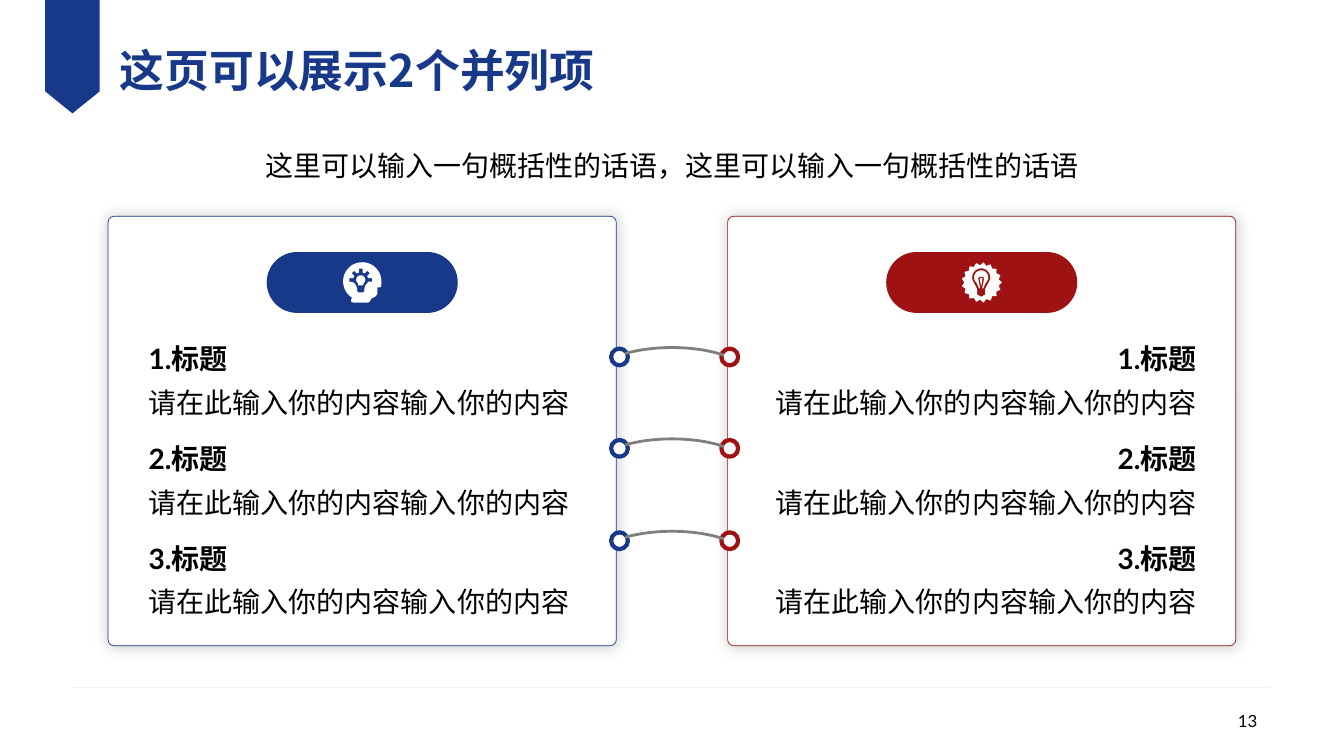
from math import cos, radians, sin

from lxml.etree import SubElement
from pptx import Presentation
from pptx.dml.color import RGBColor
from pptx.enum.shapes import MSO_CONNECTOR as Conn, MSO_SHAPE as Shape
from pptx.enum.text import MSO_ANCHOR as Anchor, PP_ALIGN as Align
from pptx.oxml.ns import qn
from pptx.util import Emu, Pt

PX = 9525
FINE = 914.4  # one thousandth of an inch, for the icons
BLUE, RED, WHITE, BLACK = "18388A", "9E1213", "FFFFFF", "000000"
GREY, PALE = "808080", "BFBFBF"
LATIN, HAN = "Lato", "Noto Sans CJK SC"


def px(n):
    return Emu(n * PX)


def rgb(hex_code):
    return RGBColor.from_string(hex_code)


def arc(cx, cy, r, start, end, n=40):
    """Points on a circle, angles in degrees clockwise from the right."""
    angles = [radians(start + (end - start) * i / n) for i in range(n + 1)]
    return [(cx + r * cos(a), cy + r * sin(a)) for a in angles]


def polar(cx, cy, pairs):
    return [(cx + r * cos(radians(a)), cy + r * sin(radians(a))) for r, a in pairs]


def shift(dx, dy, points):
    return [(x + dx, y + dy) for x, y in points]


def head_icon():
    """Head in profile with a shining bulb cut out of it."""
    head = arc(0, -10, 190, 122, 360) + [
        (190, 20), (185, 45), (170, 50), (150, 50), (150, 110), (138, 135),
        (90, 162), (75, 190), (60, 200), (-90, 200), (-110, 190), (-110, 170)]
    rays = [(r, a + d) for a in range(180, 361, 45)
            for r, d in ((75, -14), (113, -9), (113, 9), (75, 14))]
    lamp = polar(-15, -25, [(113, 171)] + rays[1:]) + shift(-15, -25, [
        (70, 25), (47, 55), (35, 85), (35, 110), (25, 125),
        (-25, 125), (-35, 110), (-35, 85), (-47, 55), (-70, 25)])
    glass = arc(-15, -25, 45, 125, 415) + shift(-15, -25, [(25, 55), (-25, 55)])
    return head, lamp, glass


def badge_icon():
    """Toothed badge with a bulb and its filament cut out of it."""
    teeth, bulb = 17, (-5, -50)
    badge = polar(0, 0, [(200 - 28 * (i % 2), 180 * i / teeth)
                         for i in range(2 * teeth)])
    lamp = arc(*bulb, 90, 140, 400) + shift(*bulb, [
        (40, 115), (40, 170), (22, 180), (0, 192), (-22, 180), (-40, 170), (-40, 115)])
    glass = arc(*bulb, 70, 130, 410) + shift(*bulb, [
        (20, 110), (10, 110), (30, 10), (18, -8), (0, -5),
        (-18, -8), (-30, 10), (-10, 110), (-20, 110)])
    filament = shift(*bulb, [(-15, 5), (0, 10), (15, 5), (0, 90)])
    return badge, lamp, glass, filament


class Deck:
    """Holds the current slide and the text style."""

    base = {"size": Pt(20), "name": LATIN, "bold": False}

    def __init__(self):
        self.prs = Presentation()
        self.prs.slide_width, self.prs.slide_height = px(1280), px(720)
        self.s = self.prs.slides.add_slide(self.prs.slide_layouts[6])

    def paint(self, sp, fill=None, line=None, width=1):
        sp.shadow.inherit = False
        if fill:
            sp.fill.solid()
            sp.fill.fore_color.rgb = rgb(fill)
        else:
            sp.fill.background()
        if line:
            sp.line.color.rgb = rgb(line)
            sp.line.width = Pt(width)
        else:
            sp.line.fill.background()
        return sp

    def shape(self, kind, x, y, w, h, adj=(), **look):
        sp = self.s.shapes.add_shape(kind, px(x), px(y), px(w), px(h))
        for i, value in enumerate(adj):
            sp.adjustments[i] = value
        return self.paint(sp, **look)

    def outline(self, contours, fill, x=0, y=0, scale=PX):
        """Closed contours around the point x, y; inner ones become holes."""
        first, *rest = contours
        fb = self.s.shapes.build_freeform(*first[0], scale=scale)
        fb.add_line_segments(first[1:], close=True)
        for points in rest:
            fb.move_to(*points[0])
            fb.add_line_segments(points[1:], close=True)
        return self.paint(fb.convert_to_shape(px(x), px(y)), fill)

    def card(self, x, y, w, h, color):
        sp = self.shape(Shape.ROUNDED_RECTANGLE, x, y, w, h, [0.014],
                        fill=WHITE, line=color, width=0.5)
        effects = sp._element.spPr.find(qn("a:effectLst"))
        glow = SubElement(effects, qn("a:outerShdw"), blurRad=str(Pt(10)), dist="0",
                          algn="ctr", rotWithShape="0")
        tint = SubElement(glow, qn("a:srgbClr"), val=BLACK)
        SubElement(tint, qn("a:alpha"), val="20000")

    def rule(self, x1, y, x2, color, width, alpha):
        c = self.s.shapes.add_connector(Conn.STRAIGHT, px(x1), px(y), px(x2), px(y))
        c.line.color.rgb = rgb(color)
        c.line.width = Pt(width)
        SubElement(next(c._element.iter(qn("a:srgbClr"))), qn("a:alpha"),
                   val=str(alpha * 1000))
        SubElement(c._element.spPr, qn("a:effectLst"))

    def text(self, x, y, w, h, *lines, align=Align.LEFT, spacing=1.0,
             color=BLACK, inset=True):
        """Each line is a pair of wording and font values."""
        tf = self.s.shapes.add_textbox(px(x), px(y), px(w), px(h)).text_frame
        frame = {"word_wrap": True, "vertical_anchor": Anchor.MIDDLE}
        if not inset:
            frame |= {f"margin_{side}": 0 for side in ("left", "top", "right", "bottom")}
        for key, value in frame.items():
            setattr(tf, key, value)
        for i, (words, font) in enumerate(lines):
            p = tf.add_paragraph() if i else tf.paragraphs[0]
            p.alignment, p.line_spacing = align, spacing
            r = p.add_run()
            r.text = words
            for key, value in (self.base | font).items():
                setattr(r.font, key, value)
            r.font.color.rgb = rgb(color)
            SubElement(r._r.get_or_add_rPr(), qn("a:ea"), typeface=HAN)


def main():
    d = Deck()
    d.rule(69, 655, 1210, PALE, 0.25, 47)
    d.outline([[(43, 0), (95, 0), (95, 87), (69, 108), (43, 87)]], BLUE)
    d.text(114, 25, 857, 83, ("这页可以展示2个并列项", {"size": Pt(32), "name": HAN, "bold": True}),
           color=BLUE, inset=False)
    d.text(919, 667, 288, 38, ("13", {"size": Pt(12)}), align=Align.RIGHT)
    d.text(103, 123, 1074, 59, ("这里可以输入一句概括性的话语，这里可以输入一句概括性的话语", {}),
           align=Align.CENTER, spacing=1.3)

    sides = (
        (103, 132, 582, BLUE, Align.LEFT, head_icon()),
        (693, 720, 687, RED, Align.RIGHT, badge_icon()),
    )
    link_tops = [332 + 175 * i // 2 for i in range(3)]
    for card_x, text_x, dot_x, color, align, icon in sides:
        d.card(card_x, 206, 484, 409, color)
        d.shape(Shape.ROUNDED_RECTANGLE, card_x + 151, 240, 182, 58, [0.5], fill=color)
        d.outline(icon, WHITE, card_x + 242, 269, FINE)
        for i, top in enumerate(link_tops):
            d.text(text_x, 310 + 95 * i, 429, 95, (f"{i + 1}.标题", {"bold": True}),
                   ("请在此输入你的内容输入你的内容", {}), align=align, spacing=1.3)
            d.shape(Shape.OVAL, dot_x, top, 16, 16, fill=WHITE, line=color, width=3)
    for top in link_tops:
        d.shape(Shape.ARC, 569, top - 1, 142, 52, [122.609, 203.524], line=GREY, width=2)

    d.prs.save("out.pptx")


if __name__ == "__main__":
    main()
